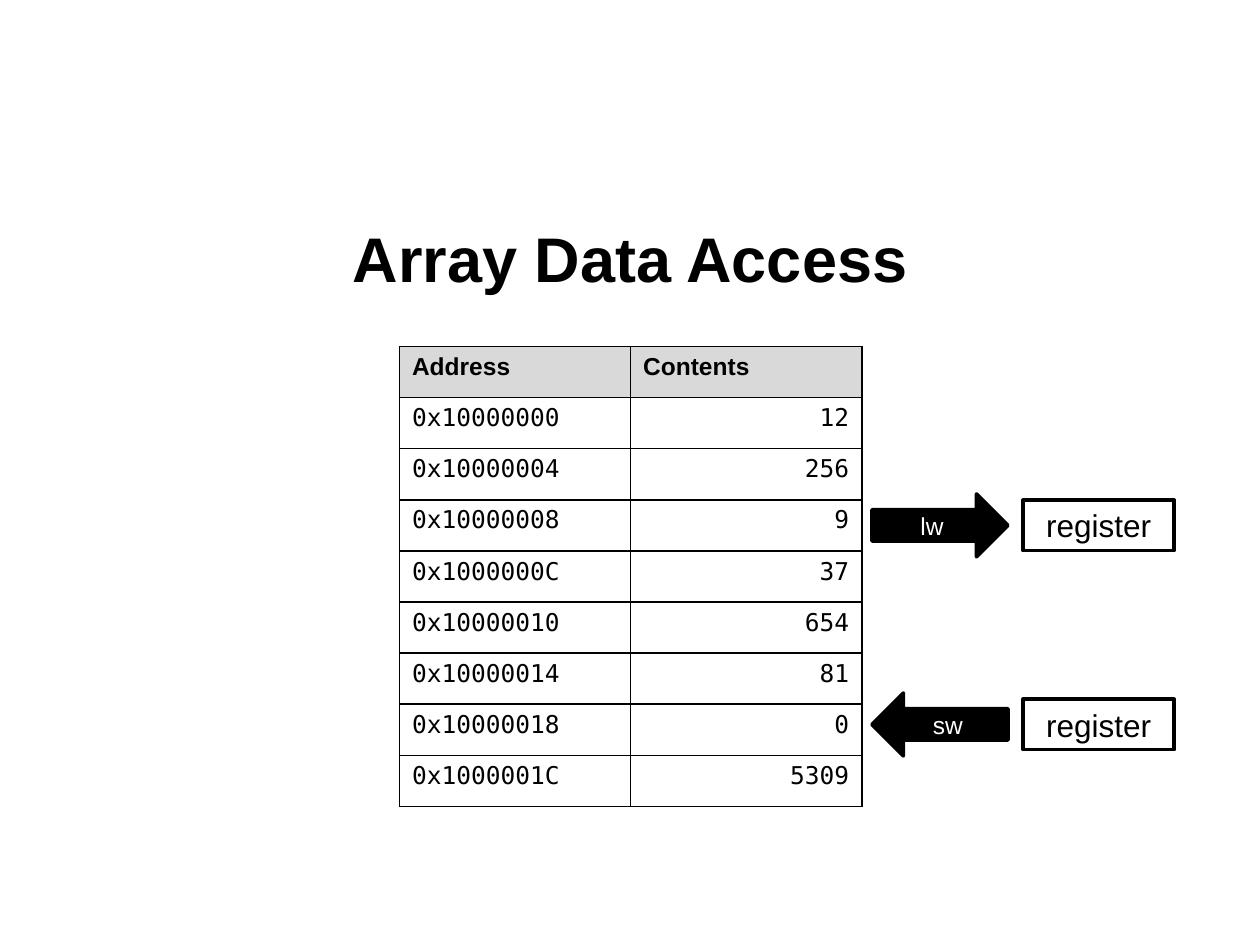
"""Build the Array Data Access slide."""
import dataclasses

import pptx
import pptx.dml.color
import pptx.enum.shapes
import pptx.enum.text
import pptx.oxml
import pptx.oxml.ns
import pptx.util

Inches = pptx.util.Inches
Align = pptx.enum.text.PP_ALIGN
Anchor = pptx.enum.text.MSO_ANCHOR
Preset = pptx.enum.shapes.MSO_SHAPE


@dataclasses.dataclass(frozen=True)
class Theme:
    """Colours, fonts and type sizes of the slide."""
    ink: str = "000000"
    paper: str = "FFFFFF"
    header: str = "D9D9D9"
    sans: str = "Arial"
    mono: str = "DejaVu Sans Mono"
    title: int = 36
    label: int = 18
    body: int = 14
    outline: int = 2
    rule: int = 1


class SlideBuilder:
    """Add styled elements to the current slide."""

    def __init__(self, page, theme):
        """Keep the slide and its theme."""
        self.page = page
        self.theme = theme

    def color(self, value):
        """Turn a hex string into a colour."""
        return pptx.dml.color.RGBColor.from_string(value)

    def set_text(self, frame, text, size, color, align, font=None, bold=False):
        """Set one formatted paragraph in a text frame."""
        frame.text = text
        para = frame.paragraphs[0]
        para.alignment = align
        span = para.runs[0].font
        span.name = font or self.theme.sans
        span.size = pptx.util.Pt(size)
        span.bold = bold
        span.color.rgb = self.color(color)

    def title(self, text, left, top, width, height):
        """Place and fill the title placeholder."""
        box = self.page.shapes.title
        box.left, box.top = Inches(left), Inches(top)
        box.width, box.height = Inches(width), Inches(height)
        box.text_frame.vertical_anchor = Anchor.MIDDLE
        self.set_text(box.text_frame, text, self.theme.title, self.theme.ink,
                      Align.CENTER, bold=True)

    def border(self, cell):
        """Draw thin rules on all four sides of a cell."""
        properties = cell._tc.get_or_add_tcPr()
        width = pptx.util.Pt(self.theme.rule)
        for index, side in enumerate(("lnL", "lnR", "lnT", "lnB")):
            properties.insert(index, pptx.oxml.parse_xml(
                f'<a:{side} {pptx.oxml.ns.nsdecls("a")} w="{width}"><a:solidFill>'
                f'<a:srgbClr val="{self.theme.ink}"/></a:solidFill></a:{side}>'))

    def table(self, rows, left, top, width, height):
        """Add a ruled table with a shaded header row."""
        table = self.page.shapes.add_table(
            len(rows), len(rows[0]), Inches(left), Inches(top),
            Inches(width), Inches(height)).table
        table.horz_banding = False
        for row, values in enumerate(rows):
            head = row == 0
            for column, value in enumerate(values):
                cell = table.cell(row, column)
                cell.fill.solid()
                cell.fill.fore_color.rgb = self.color(
                    self.theme.header if head else self.theme.paper)
                self.set_text(cell.text_frame, value, self.theme.body, self.theme.ink,
                              Align.LEFT if head or column == 0 else Align.RIGHT,
                              self.theme.sans if head else self.theme.mono, head)
                self.border(cell)

    def shape(self, preset, text, left, middle, width, height, size, color, fill=None):
        """Add an outlined shape centred on a horizontal line."""
        box = self.page.shapes.add_shape(
            preset, Inches(left), Inches(middle - height / 2),
            Inches(width), Inches(height))
        box.shadow.inherit = False
        if fill:
            box.fill.solid()
            box.fill.fore_color.rgb = self.color(fill)
        else:
            box.fill.background()
        box.line.color.rgb = self.color(self.theme.ink)
        box.line.width = pptx.util.Pt(self.theme.outline)
        box.text_frame.vertical_anchor = Anchor.MIDDLE
        self.set_text(box.text_frame, text, size, color, Align.CENTER)

    def transfer(self, instruction, arrow, middle):
        """Add a register and the arrow that links it to the table."""
        theme = self.theme
        self.shape(Preset.RECTANGLE, "register", 8.12, middle, 1.2, 0.4,
                   theme.label, theme.ink)
        self.shape(arrow, instruction, 6.92, middle, 1.08, 0.5,
                   theme.body, theme.paper, theme.ink)


def main():
    """Build and save the deck."""
    deck = pptx.Presentation()
    deck.slide_width, deck.slide_height = Inches(10), Inches(7.5)
    page = deck.slides.add_slide(deck.slide_layouts[5])
    builder = SlideBuilder(page, Theme())
    builder.title("Array Data Access", 0.5, 1.42, 9, 1.25)
    contents = (12, 256, 9, 37, 654, 81, 0, 5309)
    rows = [("Address", "Contents")]
    rows += [(f"0x{0x10000000 + 4 * index:08X}", str(value))
             for index, value in enumerate(contents)]
    builder.table(rows, 3.17, 2.75, 3.67, 3.65)
    builder.transfer("lw", Preset.RIGHT_ARROW, 4.17)
    builder.transfer("sw", Preset.LEFT_ARROW, 5.75)
    deck.save("out.pptx")


if __name__ == "__main__":
    main()
